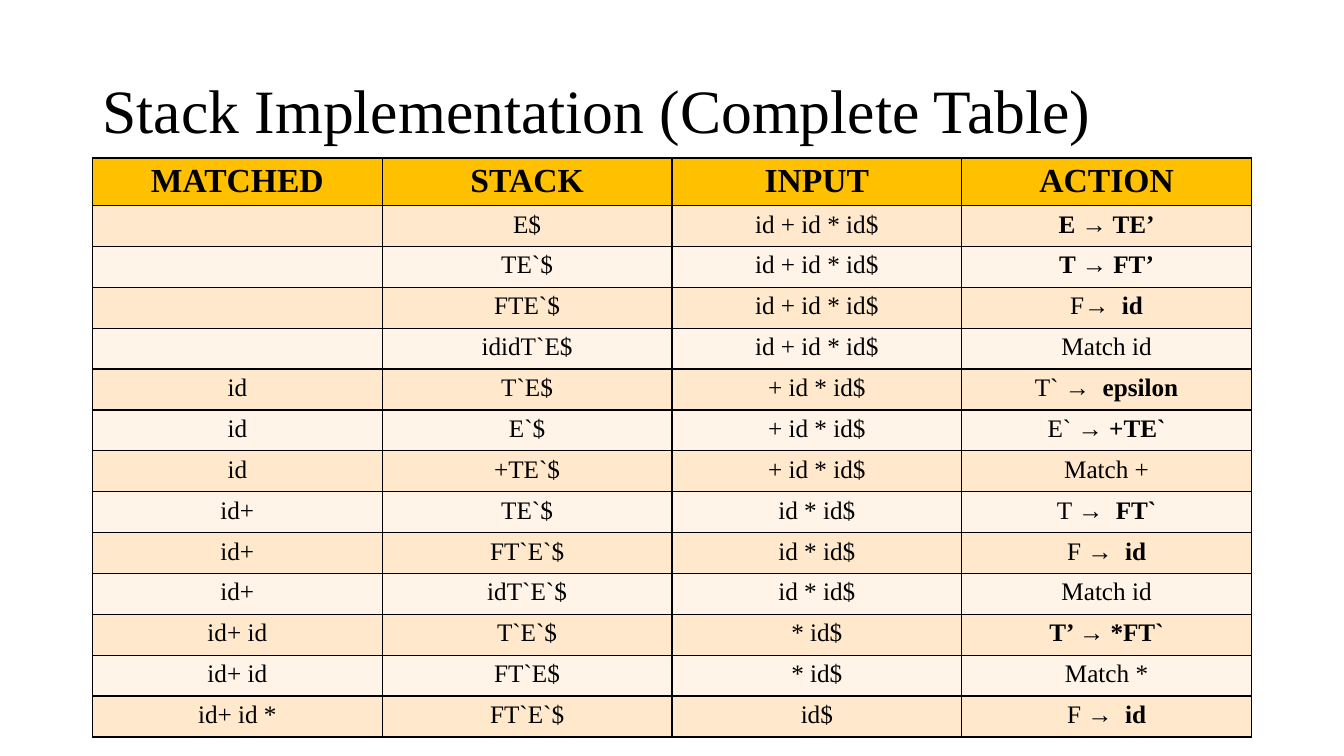
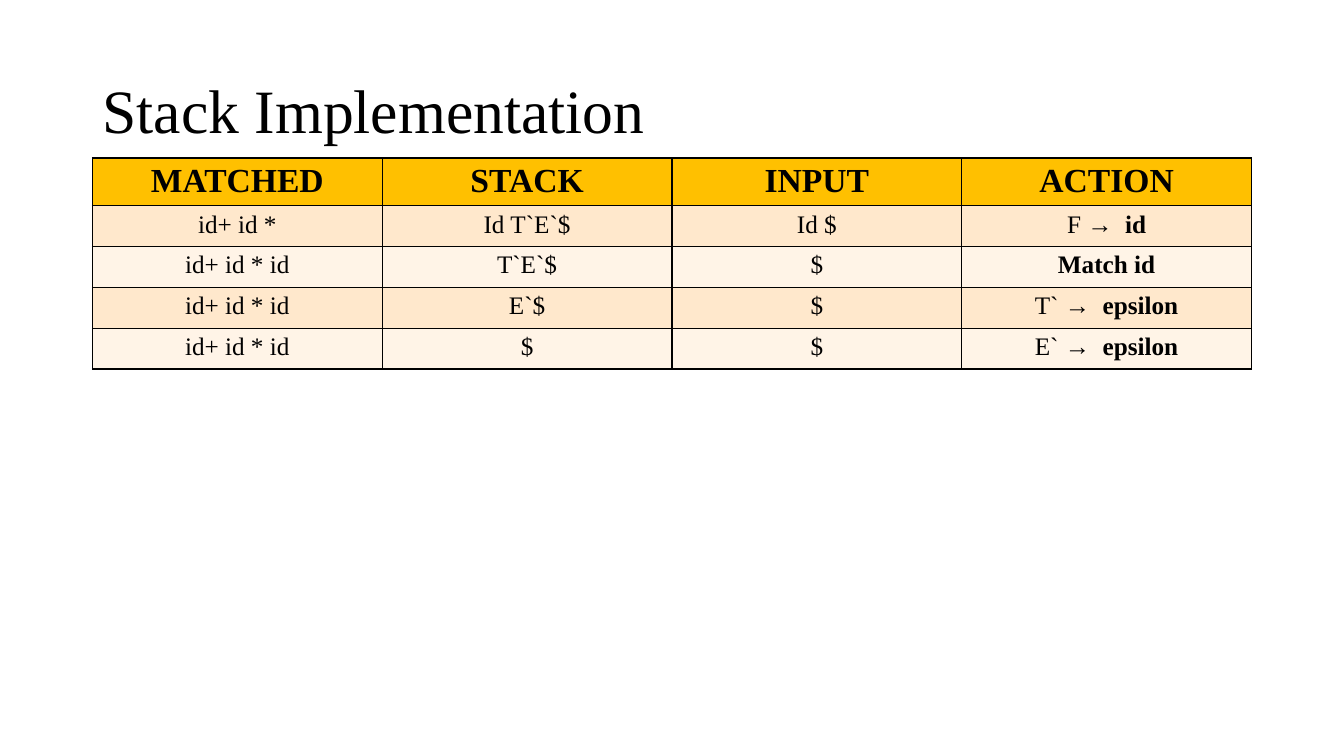
"""Build two slides tracing a predictive parser's stack in tables."""
from lxml import etree
from pptx import Presentation
from pptx.dml.color import RGBColor
from pptx.enum.text import MSO_ANCHOR, PP_ALIGN
from pptx.oxml.ns import qn
from pptx.util import Cm, Pt

LEFT = PP_ALIGN.LEFT
CENTER = PP_ALIGN.CENTER
MIDDLE = MSO_ANCHOR.MIDDLE

BLACK = RGBColor(0x00, 0x00, 0x00)
HEADER_FILL = RGBColor(0xFF, 0xC0, 0x00)
BAND_FILLS = (RGBColor(0xFF, 0xE8, 0xCC), RGBColor(0xFF, 0xF4, 0xE7))

FONT = "Times New Roman"
TITLE_FORMAT = {"name": FONT, "size": Pt(44), "bold": False}
HEADER_FORMAT = {"name": FONT, "size": Pt(24), "bold": True}
PLAIN_FORMAT = {"name": FONT, "size": Pt(18), "bold": False}
BOLD_FORMAT = {**PLAIN_FORMAT, "bold": True}

TITLE_BOX = {"left": Cm(2.33), "top": Cm(1.02), "width": Cm(29.21), "height": Cm(3.68)}
TABLE_TOP = Cm(3.98)
HEADER_HEIGHT = Cm(1.2)
ROW_HEIGHT = Cm(1.03)

HEADERS = ("MATCHED", "STACK", "INPUT", "ACTION")

# Each row: matched, stack, input, plain part of action, bold part of action.
SLIDES = (
    ("Stack Implementation (Complete Table)", (
        ("", "E$", "id + id * id$", "", "E → TE’"),
        ("", "TE`$", "id + id * id$", "", "T → FT’"),
        ("", "FTE`$", "id + id * id$", "F", "→  id"),
        ("", "ididT`E$", "id + id * id$", "Match id", ""),
        ("id", "T`E$", "+ id * id$", "T` ", "→  epsilon"),
        ("id", "E`$", "+ id * id$", "E` ", "→ +TE`"),
        ("id", "+TE`$", "+ id * id$", "Match +", ""),
        ("id+", "TE`$", "id * id$", "T ", "→  FT`"),
        ("id+", "FT`E`$", "id * id$", "F ", "→  id"),
        ("id+", "idT`E`$", "id * id$", "Match id", ""),
        ("id+ id", "T`E`$", "* id$", "", "T’ → *FT`"),
        ("id+ id", "FT`E$", "* id$", "Match *", ""),
        ("id+ id *", "FT`E`$", "id$", "F ", "→  id"),
    )),
    ("Stack Implementation", (
        ("id+ id *", "Id T`E`$", "Id $", "F ", "→  id"),
        ("id+ id * id", "T`E`$", "$", "", "Match id"),
        ("id+ id * id", "E`$", "$", "T` ", "→  epsilon"),
        ("id+ id * id", "$", "$", "E` ", "→  epsilon"),
    )),
)


def add_run(paragraph, text, font_format):
    run = paragraph.add_run()
    run.text = text
    run.font.color.rgb = BLACK
    for name, value in font_format.items():
        setattr(run.font, name, value)


def fill_cell(cell, pieces, color):
    paragraph = cell.text_frame.paragraphs[0]
    paragraph.alignment = CENTER
    for text, font_format in pieces:
        if text:
            add_run(paragraph, text, font_format)
    properties = cell._tc.get_or_add_tcPr()
    for side in ("a:lnL", "a:lnR", "a:lnT", "a:lnB"):
        line = etree.SubElement(properties, qn(side), w=str(Pt(1)))
        solid = etree.SubElement(line, qn("a:solidFill"))
        etree.SubElement(solid, qn("a:srgbClr"), val=str(BLACK))
    cell.fill.solid()
    cell.fill.fore_color.rgb = color


presentation = Presentation()
presentation.slide_width = Cm(33.87)
presentation.slide_height = Cm(19.05)
layout = presentation.slide_layouts[5]
for name, value in TITLE_BOX.items():
    setattr(layout.placeholders[0], name, value)

for title_text, steps in SLIDES:
    slide = presentation.slides.add_slide(layout)
    title_frame = slide.shapes.title.text_frame
    title_frame.vertical_anchor = MIDDLE
    title_paragraph = title_frame.paragraphs[0]
    title_paragraph.alignment = LEFT
    title_paragraph.line_spacing = 0.9
    add_run(title_paragraph, title_text, TITLE_FORMAT)

    table = slide.shapes.add_table(
        len(steps) + 1, len(HEADERS), TITLE_BOX["left"], TABLE_TOP,
        TITLE_BOX["width"], HEADER_HEIGHT + ROW_HEIGHT * len(steps),
    ).table
    table.rows[0].height = HEADER_HEIGHT
    for column, header in enumerate(HEADERS):
        fill_cell(table.cell(0, column), [(header, HEADER_FORMAT)], HEADER_FILL)

    for row, (*states, plain, bold) in enumerate(steps, start=1):
        table.rows[row].height = ROW_HEIGHT
        contents = [[(state, PLAIN_FORMAT)] for state in states]
        contents.append([(plain, PLAIN_FORMAT), (bold, BOLD_FORMAT)])
        for column, pieces in enumerate(contents):
            fill_cell(table.cell(row, column), pieces, BAND_FILLS[(row - 1) % 2])

presentation.save("out.pptx")
